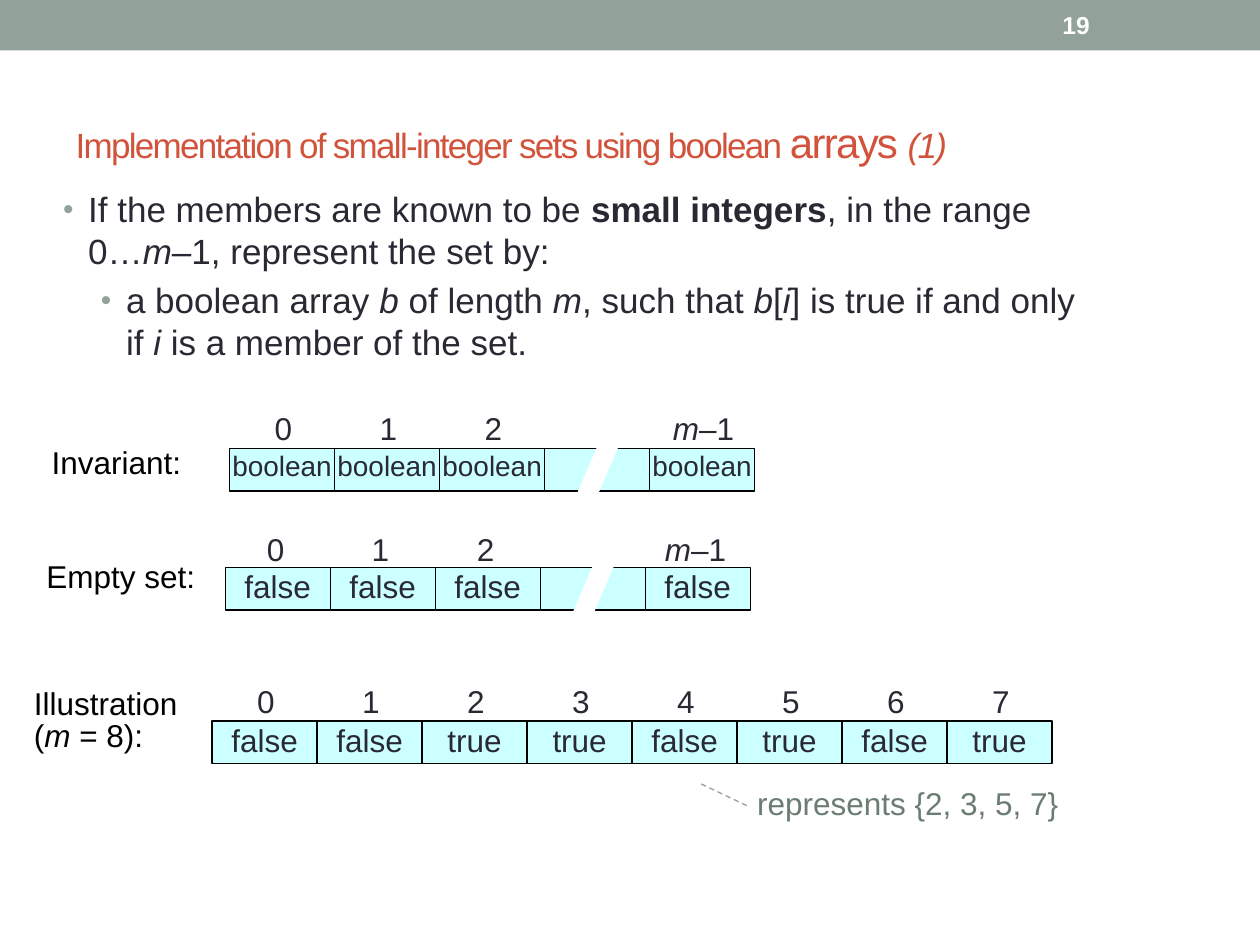
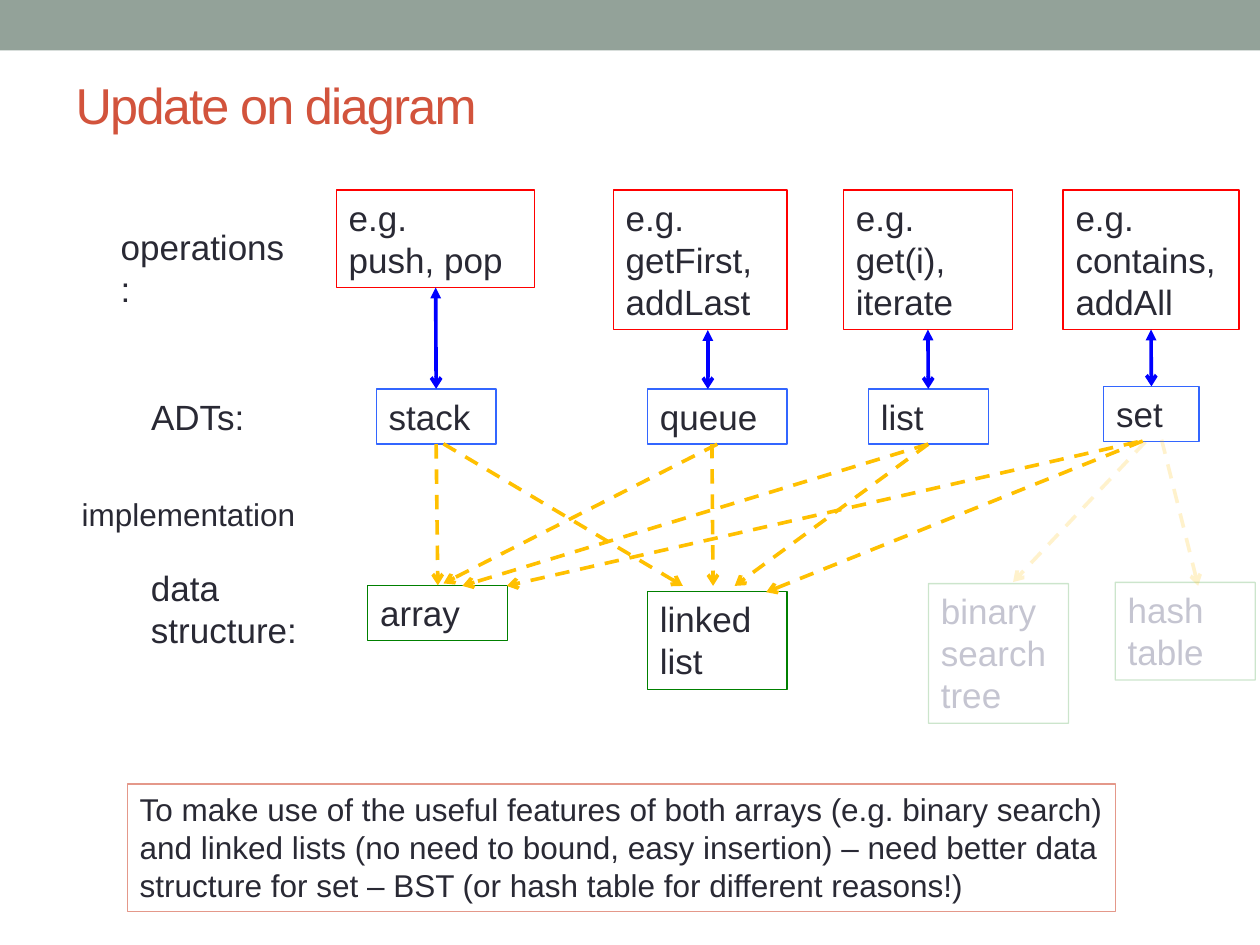
from lxml.etree import SubElement
from pptx import Presentation
from pptx.dml.color import RGBColor
from pptx.enum.dml import MSO_LINE
from pptx.enum.shapes import MSO_CONNECTOR, MSO_SHAPE
from pptx.enum.text import MSO_ANCHOR, MSO_AUTO_SIZE, PP_ALIGN
from pptx.oxml.ns import qn
from pptx.util import Pt

FONT = "Arial"
COLOURS = {
    "band": "93A299", "title": "D2533C", "text": "292934", "black": "000000",
    "white": "FFFFFF", "cell": "CCFFFF", "remark": "6B7D72", "faded": "C5C5D1",
    "operation": "FF0000", "adt": "3366FF", "structure": "008000",
    "note": "E4988A", "link": "0000FF", "implements": "FFC000",
}
CELL_WIDTH, CELL_HEIGHT = 60, 24.5
BOTTOM, TOP = 2, 0


def rgb(name):
    """Return the named colour."""
    return RGBColor.from_string(COLOURS[name])


def in_points(*lengths):
    """Turn plain numbers into lengths."""
    return [Pt(length) for length in lengths]


def style_run(run, size, colour, bold=False, italic=False):
    """Format one run."""
    font = run.font
    font.name, font.size, font.bold, font.italic = FONT, Pt(size), bold, italic
    font.color.rgb = rgb(colour)


def write_paragraph(paragraph, text, size, colour="text"):
    """Fill a paragraph, with *bold* and _italic_ marked in the text."""
    for b, bold_part in enumerate(text.split("*")):
        for i, part in enumerate(bold_part.split("_")):
            if part:
                run = paragraph.add_run()
                run.text = part
                style_run(run, size, colour, b % 2 == 1, i % 2 == 1)


def write(shape, text, size, colour="text", align=PP_ALIGN.LEFT, spacing=None,
          inset=True, anchor=MSO_ANCHOR.TOP, grow=False):
    """Write the lines of a text into a shape."""
    frame = shape.text_frame
    frame.word_wrap, frame.vertical_anchor = True, anchor
    frame.auto_size = MSO_AUTO_SIZE.SHAPE_TO_FIT_TEXT if grow else MSO_AUTO_SIZE.NONE
    if not inset:
        frame.margin_left = frame.margin_right = frame.margin_top = frame.margin_bottom = 0
    for number, line in enumerate(text.split("\n")):
        paragraph = frame.add_paragraph() if number else frame.paragraphs[0]
        paragraph.alignment = align
        if spacing:
            paragraph.line_spacing = Pt(spacing)
        write_paragraph(paragraph, line, size, colour)


def add_label(slide, box, text, size, **options):
    """Add plain text in a box."""
    write(slide.shapes.add_textbox(*in_points(*box)), text, size, **options)


def style_line(line, colour, width=0.75, dashed=False, alpha=None):
    """Set colour, width, dash and opacity of a line."""
    line.color.rgb, line.width = rgb(colour), Pt(width)
    if dashed:
        line.dash_style = MSO_LINE.DASH
    if alpha:
        element = line.fill._xPr.find(".//" + qn("a:srgbClr"))
        SubElement(element, qn("a:alpha"), val=str(alpha * 1000))


def add_rect(slide, box, fill=None, outline=None, alpha=None, kind=MSO_SHAPE.RECTANGLE):
    """Add a flat shape with an optional fill and outline."""
    rect = slide.shapes.add_shape(kind, *in_points(*box))
    rect.shadow.inherit = False
    if fill:
        rect.fill.solid()
        rect.fill.fore_color.rgb = rgb(fill)
    else:
        rect.fill.background()
    if outline:
        style_line(rect.line, outline, alpha=alpha)
    else:
        rect.line.fill.background()
    return rect


def add_arrow(slide, start, end, colour, head=None, dashed=False, alpha=None):
    """Draw an arrow between two ends, each a point or a (box, side) to join."""
    points = [end_at if isinstance(end_at[0], (int, float)) and not hasattr(end_at[0], "text_frame")
              else (0, 0) for end_at in (start, end)]
    arrow = slide.shapes.add_connector(
        MSO_CONNECTOR.STRAIGHT, *in_points(*points[0], *points[1]))
    for end_at, join in ((start, arrow.begin_connect), (end, arrow.end_connect)):
        if hasattr(end_at[0], "text_frame"):
            join(*end_at)
    style_line(arrow.line, colour, 2.08, dashed, alpha)
    outline = arrow.line.fill._xPr
    if head:
        SubElement(outline, qn("a:headEnd"), type=head)
    SubElement(outline, qn("a:tailEnd"), type="arrow")
    SubElement(arrow._element.spPr, qn("a:effectLst"))


def add_slide(prs, layout, title_box, *title_parts):
    """Add a slide with the top band and its title of (text, size) parts."""
    slide = prs.slides.add_slide(prs.slide_layouts[layout])
    add_rect(slide, (0, 0, 720, 28.8), "band")
    title = slide.shapes.title
    title.left, title.top, title.width, title.height = in_points(*title_box)
    write(title, "", 20, anchor=MSO_ANCHOR.MIDDLE)
    for text, size in title_parts:
        write_paragraph(title.text_frame.paragraphs[0], text, size, "title")
    for run in title.text_frame.paragraphs[0].runs:
        run._r.get_or_add_rPr().set("spc", "-100")
    return slide


def fill_body(body, box, items):
    """Place the list and give each (level, text) item its bullet."""
    body.left, body.top, body.width, body.height = in_points(*box)
    write(body, "\n".join(text for _, text in items), 20)
    for number, (level, _) in enumerate(items):
        paragraph = body.text_frame.paragraphs[number]
        paragraph.level = level
        paragraph.space_before = Pt(4 if number else 0)
        properties = paragraph._p.get_or_add_pPr()
        properties.set("marL", str(Pt(14.4 + 21.6 * level)))
        properties.set("indent", str(Pt(-14.4)))
        colour = SubElement(properties, qn("a:buClr"))
        SubElement(colour, qn("a:srgbClr"), val=COLOURS["band"])
        SubElement(properties, qn("a:buSzPct"), val="85000")
        SubElement(properties, qn("a:buFont"), typeface=FONT)
        SubElement(properties, qn("a:buChar"), char="•")


def add_gap(slide, left, top):
    """Cut a white slash through the cell at this corner."""
    corners = [(34.6, -11.5), (16.6, 30.3), (28.8, 30.3), (46.8, -11.5)]
    points = [tuple(in_points(left + x, top + y)) for x, y in corners]
    builder = slide.shapes.build_freeform(*points[0], scale=1.0)
    builder.add_line_segments(points[1:], close=True)
    slash = builder.convert_to_shape()
    slash.shadow.inherit = False
    slash.fill.solid()
    slash.fill.fore_color.rgb = rgb("white")
    slash.line.fill.background()


def add_array(slide, corner, name, name_box, indices, values, size=18, index_offset=(0, -18.7)):
    """Draw a named array; an empty value is a broken cell."""
    left, top = corner
    add_label(slide, name_box, name, 18, colour="black", spacing=18, inset=False, grow=True)
    for number, (index, value) in enumerate(zip(indices, values)):
        x = left + number * CELL_WIDTH
        cell = add_rect(slide, (x, top, CELL_WIDTH, CELL_HEIGHT), "cell", "black")
        if value:
            write(cell, value, size, align=PP_ALIGN.CENTER, inset=False)
            add_label(slide, (x + index_offset[0], top + index_offset[1], 61.5, 17.6), index, 18,
                      align=PP_ALIGN.CENTER, spacing=18, inset=False)
    if "" in values:
        add_gap(slide, left + values.index("") * CELL_WIDTH, top)


def add_remark(slide, box, text):
    """Add a remark with a dashed leader."""
    remark = add_rect(slide, box, kind=MSO_SHAPE.LINE_CALLOUT_1_NO_BORDER)
    for number, value in enumerate((0.416, -0.034, -0.168, -0.184)):
        remark.adjustments[number] = value
    style_line(remark.line, "band", dashed=True)
    write(remark, text, 18, "remark", spacing=18, inset=False)


def build_arrays_slide(prs):
    """Build the slide on sets kept in boolean arrays."""
    slide = add_slide(prs, 1, (36, 41.8, 648, 77.8),
                      ("Implementation of small-integer sets using boolean ", 20),
                      ("arrays", 24), (" _(1)_", 20))
    fill_body(slide.placeholders[1], (28.8, 103.7, 600, 378), [
        (0, "If the members are known to be *small integers*, in the range 0…_m_–1, "
            "represent the set by:"),
        (1, "a boolean array _b_ of length _m_, such that _b_[_i_] is true if and only if "
            "_i_ is a member of the set."),
    ])
    bounded = ["0", "1", "2", "", "_m_–1"]
    add_array(slide, (131.2, 256.2), "Invariant:", (29.5, 257, 105, 18), bounded,
              ["boolean"] * 3 + ["", "boolean"], size=16)
    add_array(slide, (128.7, 324.2), "Empty set:", (26.6, 322, 105, 18), bounded,
              ["false"] * 3 + ["", "false"], index_offset=(-2, -17.5))
    members = {2, 3, 5, 7}
    add_array(slide, (121.2, 412), "Illustration\n(_m_ = 8):", (19.4, 394.6, 102, 36),
              [str(index) for index in range(8)],
              ["true" if index in members else "false" for index in range(8)])
    add_remark(slide, (432.7, 451.4, 177, 21.6), "represents {2, 3, 5, 7}")
    add_label(slide, (600, 1.4, 84, 26), "*19*", 14, colour="white", anchor=MSO_ANCHOR.MIDDLE)


def add_box_row(slide, top, outline, boxes):
    """Draw boxes of (text, left, drop, width, height, alpha) in one row."""
    row = []
    for text, left, drop, width, height, alpha in boxes:
        box = add_rect(slide, (left, top + drop, width, height), None, outline, alpha)
        write(box, text, 20, "faded" if alpha else "text", grow=True)
        row.append(box)
    return row


def build_diagram_slide(prs):
    """Build the diagram of operations, ADTs and data structures."""
    slide = add_slide(prs, 5, (36, 41.8, 648, 36), ("Update on diagram", 28.8))
    for text, box, size in (
        ("operations:", (61.9, 125.3, 113, 31.7), 20),
        ("ADTs:", (79.2, 222.5, 96, 31.7), 20),
        ("implementation", (39.6, 279.4, 193, 28.8), 18),
        ("data structure:", (79.2, 320.4, 113, 55.4), 20),
    ):
        add_label(slide, box, text, size, grow=True)
    operations = add_box_row(slide, 108.5, "operation", [
        ("e.g.\npush, pop", 192.2, 0, 113.5, 55.8, None),
        ("e.g.\ngetFirst, addLast", 350.5, 0, 99.2, 79.8, None),
        ("e.g.\nget(i),\niterate", 482, 0, 96.5, 79.8, None),
        ("e.g.\ncontains, addAll", 607.5, 0, 100.5, 79.8, None),
    ])
    stack, queue, list_adt, set_adt = adts = add_box_row(slide, 222.2, "adt", [
        ("stack", 215, 0, 68.5, 31.6, None),
        ("queue", 370, 0, 79.8, 31.6, None),
        ("list", 496.2, 0, 68.5, 31.6, None),
        ("set", 630.7, -1.4, 54.5, 31.6, None),
    ])
    array = add_box_row(slide, 334.5, "structure", [
        ("array", 210.2, 0, 80, 31.6, None),
        ("linked list", 370, 3.6, 79.8, 55.8, None),
        ("binary search tree", 530.6, -1, 80, 79.8, 20),
        ("hash table", 637.3, -1.7, 80, 55.8, 20),
    ])[0]
    for operation, adt in zip(operations, adts):
        ends = ((404.5, 188.6), (404.5, 222.3)) if adt is queue else (
            (operation, BOTTOM), (adt, TOP))
        add_arrow(slide, *ends, "link", head="triangle")
    for start, end, alpha in (
        ((stack, BOTTOM), (array, TOP), None),
        ((253.4, 253.6), (390.2, 334.8), None),
        ((406.8, 253.6), (407.5, 334.8), None),
        ((queue, BOTTOM), (253.4, 333.4), None),
        ((list_adt, BOTTOM), (264.2, 334.8), None),
        ((list_adt, BOTTOM), (419.8, 334.8), None),
        ((650.2, 252.5), (289.6, 334.8), None),
        ((653, 252), (437.8, 338.4), None),
        ((654.5, 252.5), (578.9, 332.6), 20),
        ((663.8, 251.3), (684.7, 334.8), 20),
    ):
        add_arrow(slide, start, end, "implements", dashed=True, alpha=alpha)
    note = add_rect(slide, (72.7, 448, 564.7, 72.7), None, "note")
    write(note, "To make use of the useful features of both arrays (e.g. binary search)\n"
          "and linked lists (no need to bound, easy insertion) – need better data structure "
          "for set – BST (or hash table for different reasons!)", 18, grow=True)


def main():
    """Build and save the slides."""
    prs = Presentation()
    prs.slide_width, prs.slide_height = in_points(720, 540)
    build_arrays_slide(prs)
    build_diagram_slide(prs)
    prs.save("out.pptx")


if __name__ == "__main__":
    main()
